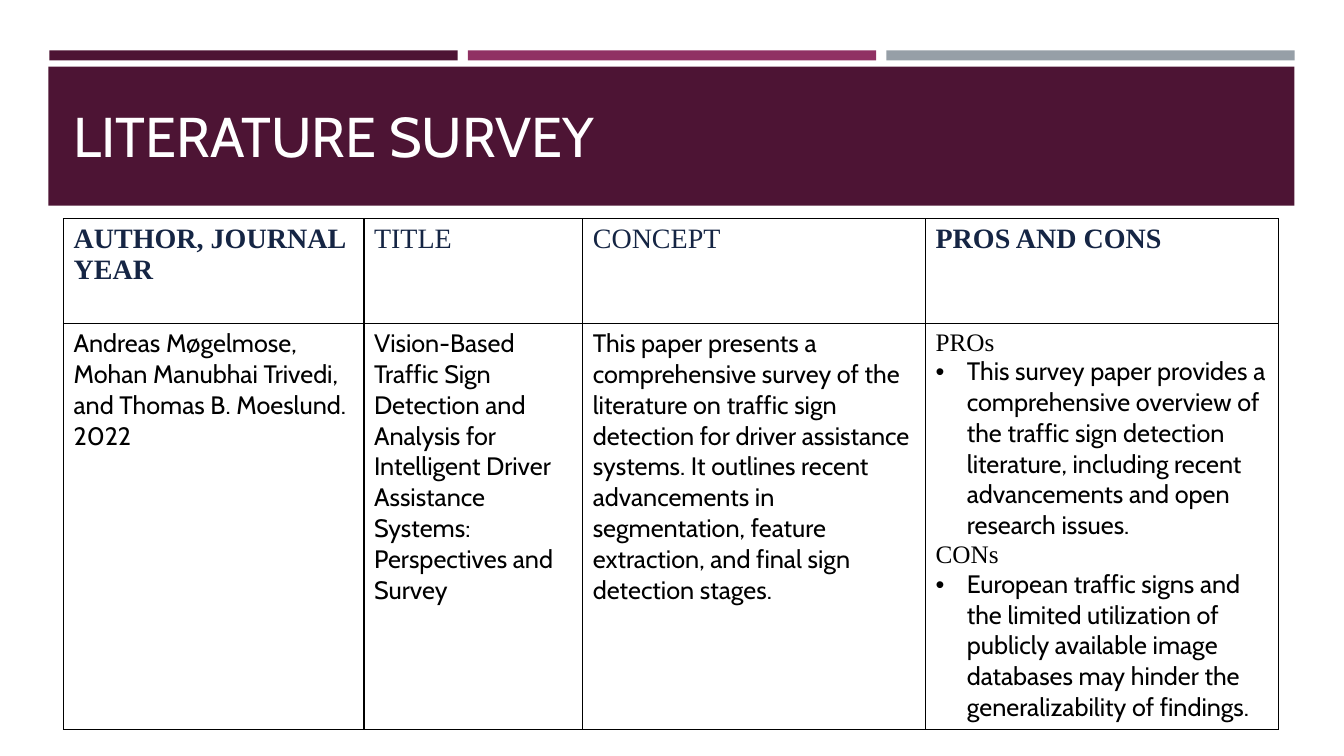
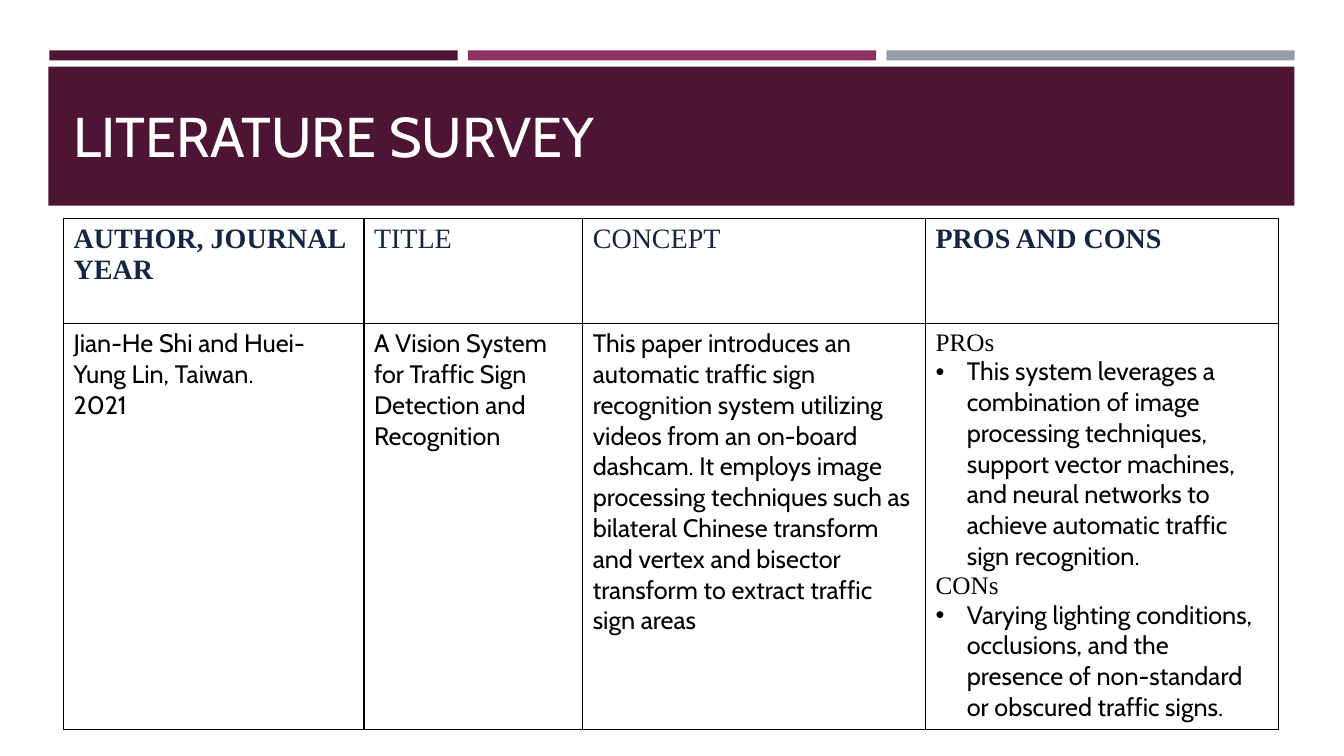
from dataclasses import dataclass

import lxml.etree
import pptx
import pptx.dml.color
import pptx.enum.shapes
import pptx.enum.text
import pptx.oxml.ns
import pptx.util

Inches, Pt = pptx.util.Inches, pptx.util.Pt
qn = pptx.oxml.ns.qn

# Shared look
COLORS = {"plum": "4D1434", "magenta": "903163", "gray": "969FA7",
          "navy": "152544", "black": "000000", "white": "FFFFFF"}
SANS, SERIF = "Cabin", "Times New Roman"
TITLE_FONT = {"name": SANS, "size": Pt(40), "bold": False}
HEAD_FONT = {"name": SERIF, "size": Pt(20), "bold": False}
BODY_FONT = {"name": SANS, "size": Pt(18), "bold": False}
LABEL_FONT = {**BODY_FONT, "name": SERIF}

TITLE = "LITERATURE SURVEY"
STRIPES = ("plum", "magenta", "gray")
STRIPE_LEFT, STRIPE_WIDTH, STRIPE_STEP = 0.49, 4.05, 4.15
COL_WIDTHS = (2.98, 2.17, 3.4, 3.5)
ROW_HEIGHTS = (1.04, 4.03)
HEADERS = (("AUTHOR, JOURNAL YEAR", True), ("TITLE", False),
           ("CONCEPT", False), ("PROS AND CONS", True))
BULLET_INDENT = 0.31


@dataclass
class Paper:
    authors: str
    year: str
    title: str
    concept: str
    pros: str
    cons: str


@dataclass
class Line:
    text: str
    font: dict
    color: str = "black"
    bullet: bool = False


PAPERS = (
    Paper(
        "Andreas Møgelmose, Mohan Manubhai Trivedi, and Thomas B. Moeslund.",
        "2022",
        "Vision-Based Traffic Sign Detection and Analysis for Intelligent "
        "Driver Assistance Systems: Perspectives and Survey",
        "This paper presents a comprehensive survey of the literature on "
        "traffic sign detection for driver assistance systems. It outlines "
        "recent advancements in segmentation, feature extraction, and final "
        "sign detection stages.",
        "This survey paper provides a comprehensive overview of the traffic "
        "sign detection literature, including recent advancements and open "
        "research issues.",
        "European traffic signs and the limited utilization of publicly "
        "available image databases may hinder the generalizability of "
        "findings."),
    Paper(
        "Jian-He Shi and Huei-Yung Lin, Taiwan.",
        "2021",
        "A Vision System for Traffic Sign Detection and Recognition",
        "This paper introduces an automatic traffic sign recognition system "
        "utilizing videos from an on-board dashcam. It employs image "
        "processing techniques such as bilateral Chinese transform and vertex "
        "and bisector transform to extract traffic sign areas",
        "This system leverages a combination of image processing techniques, "
        "support vector machines, and neural networks to achieve automatic "
        "traffic sign recognition.",
        "Varying lighting conditions, occlusions, and the presence of "
        "non-standard or obscured traffic signs."),
)


def rgb(color: str) -> pptx.dml.color.RGBColor:
    return pptx.dml.color.RGBColor.from_string(COLORS[color])


def add_rect(s, left: float, top: float, width: float, height: float,
             color: str) -> None:
    sp = s.shapes.add_shape(pptx.enum.shapes.MSO_SHAPE.RECTANGLE, Inches(left),
                            Inches(top), Inches(width), Inches(height))
    sp.shadow.inherit = False
    sp.fill.solid()
    sp.fill.fore_color.rgb = rgb(color)
    sp.line.fill.background()


def add_bullet(p) -> None:
    ppr = p._p.get_or_add_pPr()
    ppr.set("marL", str(Inches(BULLET_INDENT)))
    ppr.set("indent", str(-Inches(BULLET_INDENT)))
    lxml.etree.SubElement(ppr, qn("a:buFont")).set("typeface", "Arial")
    lxml.etree.SubElement(ppr, qn("a:buChar")).set("char", "•")


def write_lines(tf, lines: list[Line]) -> None:
    for i, line in enumerate(lines):
        p = tf.add_paragraph() if i else tf.paragraphs[0]
        if line.bullet:
            add_bullet(p)
        r = p.add_run()
        r.text = line.text
        for name, value in line.font.items():
            setattr(r.font, name, value)
        r.font.color.rgb = rgb(line.color)


def add_borders(cell) -> None:
    tcpr = cell._tc.get_or_add_tcPr()
    for side in ("lnL", "lnR", "lnT", "lnB"):
        ln = lxml.etree.SubElement(tcpr, qn(f"a:{side}"))
        ln.set("w", str(Pt(1)))
        fill = lxml.etree.SubElement(ln, qn("a:solidFill"))
        lxml.etree.SubElement(fill, qn("a:srgbClr")).set("val", COLORS["black"])


def add_header(s) -> None:
    # Three stripes above the title band
    for i, color in enumerate(STRIPES):
        add_rect(s, STRIPE_LEFT + i * STRIPE_STEP, 0.5, STRIPE_WIDTH, 0.1, color)
    add_rect(s, 0.48, 0.66, 12.36, 1.38, "plum")
    # Title
    tf = s.shapes.add_textbox(Inches(0.63), Inches(0.64), Inches(12.06),
                              Inches(1.08)).text_frame
    tf.word_wrap = True
    tf.vertical_anchor = pptx.enum.text.MSO_ANCHOR.BOTTOM
    write_lines(tf, [Line(TITLE, TITLE_FONT, "white")])


def add_survey_table(s, paper: Paper) -> None:
    head = [[Line(text, {**HEAD_FONT, "bold": bold}, "navy")]
            for text, bold in HEADERS]
    body = [
        [Line(paper.authors, BODY_FONT), Line(paper.year, BODY_FONT)],
        [Line(paper.title, BODY_FONT)],
        [Line(paper.concept, BODY_FONT)],
        [Line("PROs", LABEL_FONT), Line(paper.pros, BODY_FONT, bullet=True),
         Line("CONs", LABEL_FONT), Line(paper.cons, BODY_FONT, bullet=True)],
    ]
    tbl = s.shapes.add_table(
        len(ROW_HEIGHTS), len(COL_WIDTHS), Inches(0.63), Inches(2.17),
        Inches(sum(COL_WIDTHS)), Inches(sum(ROW_HEIGHTS))).table
    tbl.first_row = tbl.horz_banding = False
    for col, width in zip(tbl.columns, COL_WIDTHS):
        col.width = Inches(width)
    for row, height, contents in zip(tbl.rows, ROW_HEIGHTS, (head, body)):
        row.height = Inches(height)
        for cell, lines in zip(row.cells, contents):
            add_borders(cell)
            cell.fill.solid()
            cell.fill.fore_color.rgb = rgb("white")
            write_lines(cell.text_frame, lines)


def main() -> None:
    prs = pptx.Presentation()
    prs.slide_width, prs.slide_height = Inches(13.33), Inches(7.5)
    for paper in PAPERS:
        s = prs.slides.add_slide(prs.slide_layouts[6])
        add_header(s)
        add_survey_table(s, paper)
    prs.save("out.pptx")


if __name__ == "__main__":
    main()
